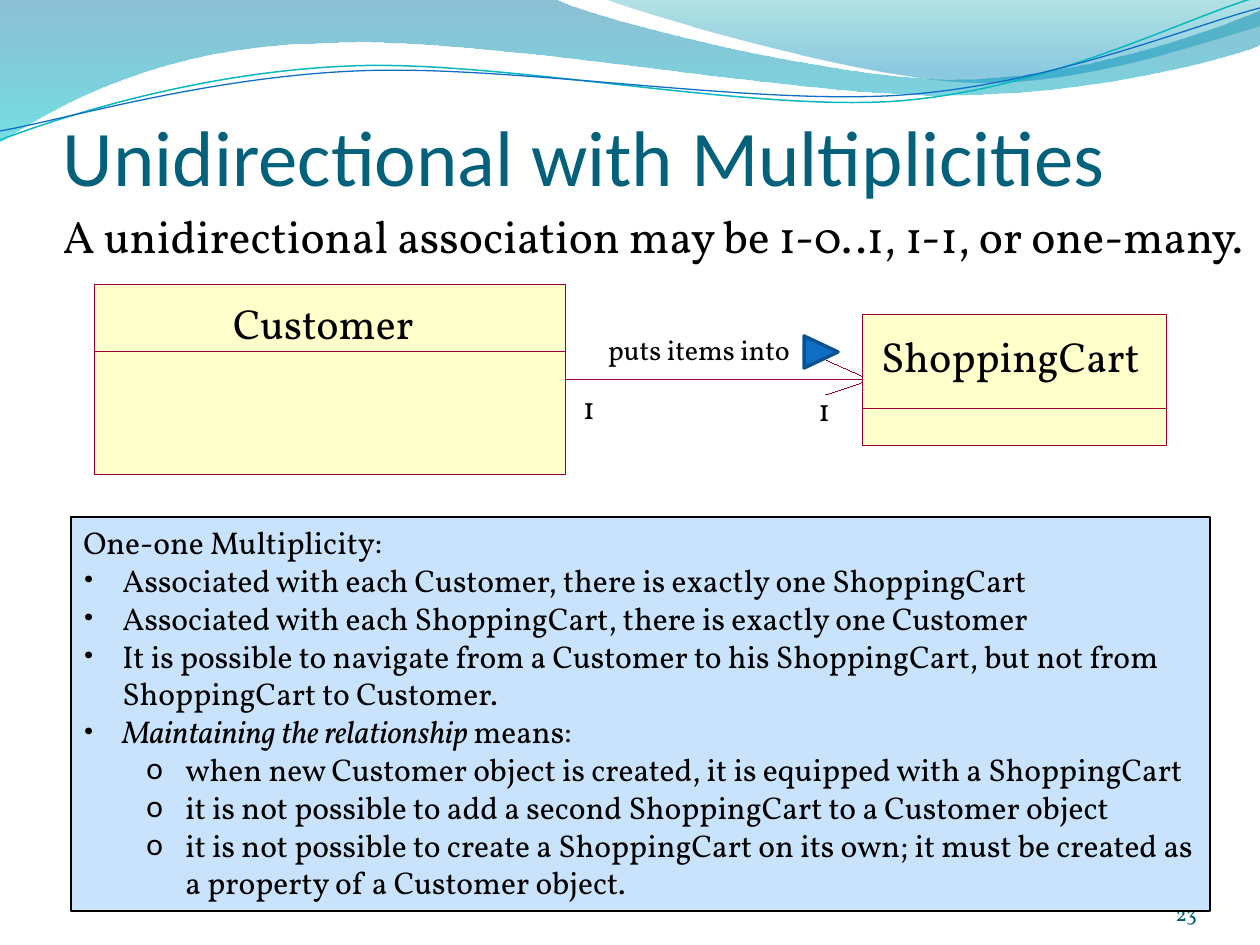
"""Build a slide on unidirectional associations with multiplicities."""
from dataclasses import dataclass

from lxml import etree
from pptx import Presentation
from pptx.dml.color import RGBColor
from pptx.enum.shapes import MSO_CONNECTOR, MSO_SHAPE
from pptx.enum.text import MSO_ANCHOR, MSO_AUTO_SIZE, PP_ALIGN
from pptx.oxml.ns import qn
from pptx.util import Pt

RECT, TRIANGLE = MSO_SHAPE.RECTANGLE, MSO_SHAPE.ISOSCELES_TRIANGLE
STRAIGHT = MSO_CONNECTOR.STRAIGHT
TOP, BOTTOM = MSO_ANCHOR.TOP, MSO_ANCHOR.BOTTOM
LEFT, RIGHT = PP_ALIGN.LEFT, PP_ALIGN.RIGHT
GROW = MSO_AUTO_SIZE.SHAPE_TO_FIT_TEXT

SCALE = 914400 / 126
INSET_X, INSET_Y = 13, 6
INDENT, SUB_MARGIN = 39, 102
HEAD_FONT, BODY_FONT = "Calibri", "Vollkorn"
BULLET_FONTS = {"•": BODY_FONT, "o": HEAD_FONT}

BLACK = RGBColor(0x00, 0x00, 0x00)
TITLE_TEAL = RGBColor(0x04, 0x61, 0x7B)
NUMBER_TEAL = RGBColor(0x04, 0x5D, 0x75)
CLASS_FILL = RGBColor(0xFF, 0xFF, 0xCC)
CLASS_LINE = RGBColor(0x99, 0x00, 0x33)
PANEL_FILL = RGBColor(0xC8, 0xE3, 0xFB)
BLUE = RGBColor(0x0F, 0x6F, 0xC6)
DARK_BLUE = RGBColor(0x0B, 0x52, 0x92)
AQUA = RGBColor(0x0A, 0xB8, 0xBF)
DEEP_TEAL = RGBColor(0x00, 0x74, 0xA1)
CYAN = RGBColor(0x00, 0xC6, 0xCF)
SEA = RGBColor(0x00, 0xA1, 0xA9)
AZURE = RGBColor(0x00, 0x8B, 0xBF)


@dataclass
class Stop:
    position: float
    color: RGBColor
    alpha: int


@dataclass
class Wave:
    """A start point, then segments of one point (line) or three (curve)."""
    start: tuple
    segments: tuple
    stops: tuple = ()
    color: RGBColor = None
    width: float = 0


@dataclass
class Label:
    text: str
    box: tuple
    size: int
    font: str = BODY_FONT
    color: RGBColor = BLACK
    insets: tuple = (INSET_X, INSET_Y, INSET_X, INSET_Y)
    anchor: MSO_ANCHOR = TOP
    align: PP_ALIGN = LEFT
    wrap: bool = True
    grow: bool = False


@dataclass
class ClassBox:
    name: Label
    box: tuple
    divider: int


@dataclass
class Item:
    runs: tuple
    bullet: str = ""
    margin: int = INDENT


WAVES = (
    Wave((0, 0), (
        ((554, -1),),
        ((600, 21), (837, 79), (955, 79)), ((1075, 79), (1207, 33), (1260, 11)),
        ((1261, 45),),
        ((1239, 55), (1096, 96), (940, 95)), ((784, 95), (481, 35), (324, 43)),
        ((163, 45), (58, 105), (-1, 142)), ((0, 0),)),
        stops=(Stop(0, DEEP_TEAL, 45), Stop(1, CYAN, 55))),
    Wave((604, -1), (
        ((641, 14), (859, 78), (969, 82)), ((1077, 87), (1211, 40), (1260, 26)),
        ((1260, 0),), ((604, -1),)),
        stops=(Stop(0, SEA, 30), Stop(0.8, AZURE, 45))),
    Wave((0, 140), (
        ((60, 117), (199, 72), (349, 66)), ((498, 59), (747, 112), (898, 101)),
        ((1050, 89), (1182, 19), (1257, -3))), color=AQUA, width=0.85),
    Wave((0, 131), (
        ((59, 121), (207, 77), (357, 71)), ((508, 64), (752, 106), (903, 95)),
        ((1053, 84), (1187, 27), (1260, 8))), color=BLUE, width=0.75),
)
HEADINGS = (
    Label("Unidirectional with Multiplicities", (63, 95, 1134, 107), 45, HEAD_FONT,
          TITLE_TEAL, (0, INSET_Y, 0, 0), BOTTOM),
    Label("A unidirectional association may be 1-0..1, 1-1, or one-many.",
          (50, 202, 1210, 605), 26),
    Label("23", (1092, 876, 105, 50), 12, color=NUMBER_TEAL, insets=(0, 0, 0, 0),
          anchor=BOTTOM, align=RIGHT),
)
CUSTOMER = ClassBox(Label("Customer", (233, 298, 195, 50), 24, insets=(0, 0, 0, 0),
                          wrap=False, grow=True), (94, 285, 472, 190), 352)
CART = ClassBox(Label("ShoppingCart", (881, 331, 272, 50), 24, insets=(0, 0, 0, 0),
                      wrap=False, grow=True), (863, 314, 304, 132), 409)
ASSOCIATION_LABELS = (
    Label("puts items into", (595, 327, 208, 47), 16, wrap=False, grow=True),
    Label("1", (570, 382, 47, 50), 18, grow=True),
    Label("1", (805, 384, 44, 50), 18, grow=True),
)
ITEMS = (
    Item(("One-one Multiplicity:",)),
    Item(("Associated with each Customer, there is exactly one ShoppingCart",), "•"),
    Item(("Associated with each ShoppingCart, there is exactly one Customer",), "•"),
    Item(("It is possible to navigate from a Customer to his ShoppingCart, "
          "but not from ShoppingCart to Customer.",), "•"),
    Item(("Maintaining the relationship ", "means:"), "•"),
    Item(("when new Customer object is created, it is equipped with a ShoppingCart",),
         "o", SUB_MARGIN),
    Item(("it is not possible to add a second ShoppingCart to a Customer object",),
         "o", SUB_MARGIN),
    Item(("it is not possible to create a ShoppingCart on its own; it must be created "
          "as a property of a Customer object.",), "o", SUB_MARGIN),
)


def px(*lengths: int) -> list:
    return [round(n * SCALE) for n in lengths]


def style_run(r, size: int, font: str, color: RGBColor) -> None:
    r.font.size, r.font.name = Pt(size), font
    r.font.color.rgb = color


def style_line(sp, color: RGBColor, width: float) -> None:
    sp.line.color.rgb = color
    sp.element.spPr.find(qn("a:ln")).set("w", str(Pt(width)))


def bend_segments(sp, segments: tuple) -> None:
    steps = list(sp.element.spPr.iter(qn("a:lnTo")))
    for segment in segments:
        group, steps = steps[:len(segment)], steps[len(segment):]
        if len(group) == 3:
            curve = etree.Element(qn("a:cubicBezTo"))
            group[0].addprevious(curve)
            for step in group:
                curve.append(step[0])
                step.getparent().remove(step)


def draw_wave(s, wave: Wave) -> None:
    builder = s.shapes.build_freeform(*px(*wave.start))
    points = [tuple(px(*point)) for segment in wave.segments for point in segment]
    builder.add_line_segments(points, close=bool(wave.stops))
    sp = builder.convert_to_shape()
    bend_segments(sp, wave.segments)
    sp.shadow.inherit = False
    if not wave.stops:
        sp.fill.background()
        style_line(sp, wave.color, wave.width)
        return
    sp.line.fill.background()
    sp.fill.gradient()
    sp.fill.gradient_angle = 270
    for target, stop in zip(sp.fill.gradient_stops, wave.stops):
        target.position, target.color.rgb = stop.position, stop.color
    for color, stop in zip(sp.element.spPr.iter(qn("a:srgbClr")), wave.stops):
        etree.SubElement(color, qn("a:alpha")).set("val", str(stop.alpha * 1000))


def draw_label(s, label: Label) -> None:
    tf = s.shapes.add_textbox(*px(*label.box)).text_frame
    tf.text, tf.word_wrap, tf.vertical_anchor = label.text, label.wrap, label.anchor
    tf.margin_left, tf.margin_top, tf.margin_right, tf.margin_bottom = px(*label.insets)
    if label.grow:
        tf.auto_size = GROW
    p = tf.paragraphs[0]
    p.alignment = label.align
    style_run(p.runs[0], label.size, label.font, label.color)


def draw_shape(s, kind: MSO_SHAPE, box: tuple, fill: RGBColor, line: RGBColor, width: float):
    sp = s.shapes.add_shape(kind, *px(*box))
    sp.shadow.inherit = False
    if fill is None:
        sp.fill.background()
    else:
        sp.fill.solid()
        sp.fill.fore_color.rgb = fill
    style_line(sp, line, width)
    return sp


def draw_class(s, item: ClassBox):
    x, y, w, h = item.box
    sp = draw_shape(s, RECT, item.box, CLASS_FILL, CLASS_LINE, 0)
    draw_label(s, item.name)
    draw_shape(s, RECT, (x, item.divider, w, y + h - item.divider), None, CLASS_LINE, 0)
    return sp


def draw_line(s, x1: int, y1: int, x2: int, y2: int):
    line = s.shapes.add_connector(STRAIGHT, *px(x1, y1, x2, y2))
    style_line(line, CLASS_LINE, 0)
    etree.SubElement(line.element.spPr, qn("a:effectLst"))
    return line


def draw_panel(s, box: tuple, items: tuple) -> None:
    tf = draw_shape(s, RECT, box, PANEL_FILL, BLACK, 0.75).text_frame
    tf.word_wrap, tf.vertical_anchor, tf.auto_size = True, TOP, GROW
    for i, item in enumerate(items):
        p = tf.add_paragraph() if i else tf.paragraphs[0]
        p.alignment = LEFT
        for text in item.runs:
            r = p.add_run()
            r.text = text
            style_run(r, 18, BODY_FONT, BLACK)
        p.runs[0].font.italic = len(item.runs) > 1
        if item.bullet:
            pPr = p._p.get_or_add_pPr()
            margin, indent = px(item.margin, -INDENT)
            pPr.set("marL", str(margin))
            pPr.set("indent", str(indent))
            p.level = int(item.margin == SUB_MARGIN)
            etree.SubElement(pPr, qn("a:buFont")).set("typeface", BULLET_FONTS[item.bullet])
            etree.SubElement(pPr, qn("a:buChar")).set("char", item.bullet)


def main() -> None:
    prs = Presentation()
    prs.slide_width, prs.slide_height = px(1260, 945)
    s = prs.slides.add_slide(prs.slide_layouts[6])
    for wave in WAVES:
        draw_wave(s, wave)
    for label in HEADINGS:
        draw_label(s, label)
    draw_line(s, 864, 382, 826, 395)
    draw_line(s, 864, 377, 826, 360)
    customer, cart = draw_class(s, CUSTOMER), draw_class(s, CART)
    association = draw_line(s, 566, 380, 863, 380)
    association.begin_connect(customer, 3)
    association.end_connect(cart, 1)
    for label in ASSOCIATION_LABELS:
        draw_label(s, label)
    draw_shape(s, TRIANGLE, (805, 335, 32, 34), BLUE, DARK_BLUE, 2).rotation = 90
    draw_panel(s, (71, 517, 1139, 394), ITEMS)
    prs.save("out.pptx")


if __name__ == "__main__":
    main()
